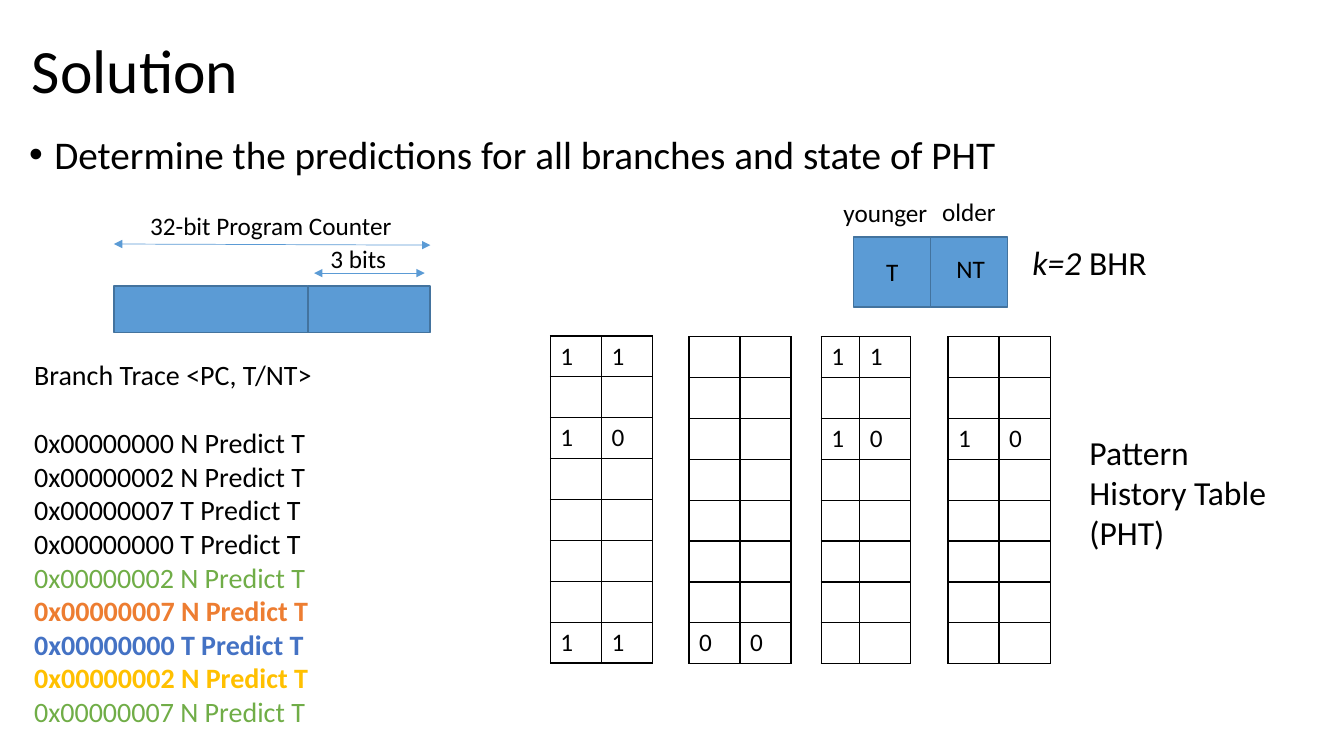
from lxml import etree
from pptx import Presentation
from pptx.dml.color import RGBColor
from pptx.enum.shapes import MSO_CONNECTOR, MSO_SHAPE
from pptx.enum.text import MSO_ANCHOR, PP_ALIGN
from pptx.oxml.ns import qn
from pptx.util import Pt

STRAIGHT = MSO_CONNECTOR.STRAIGHT
RECTANGLE = MSO_SHAPE.RECTANGLE
TOP, MIDDLE = MSO_ANCHOR.TOP, MSO_ANCHOR.MIDDLE
LEFT, CENTER = PP_ALIGN.LEFT, PP_ALIGN.CENTER

FONT = "Calibri"
COLORS = {
    "text": "000000",
    "fill": "5B9BD5",
    "outline": "43739E",
    "green": "70AD47",
    "orange": "ED7D31",
    "blue": "4472C4",
    "gold": "FFC000",
}
PHT_ROWS = 8
PHT_ROW_HEIGHT = 29.2
PHT_TABLES = [
    (0, -0.5, (36.5, 36.5), {0: "11", 2: "10", 7: "11"}),
    (99, 0, (36.5, 36.5), {7: "00"}),
    (193.5, 0, (27.5, 36.5), {0: "11", 2: "10"}),
    (284, 0, (36.5, 36.5), {2: "10"}),
]
TRACE = [
    ("0x00000000 N Predict T", "text", False),
    ("0x00000002 N Predict T", "text", False),
    ("0x00000007 T Predict T", "text", False),
    ("0x00000000 T Predict T", "text", False),
    ("0x00000002 N Predict T", "green", False),
    ("0x00000007 N Predict T", "orange", True),
    ("0x00000000 T Predict T", "blue", True),
    ("0x00000002 N Predict T", "gold", True),
    ("0x00000007 N Predict T", "green", False),
]


def rgb(name):
    """Return the named colour."""
    return RGBColor.from_string(COLORS[name])


def add_span(para, text, size=18, color="text", bold=False, italic=False):
    """Append one formatted run to a paragraph."""
    span = para.add_run()
    span.text = text
    font = span.font
    font.name, font.size, font.bold, font.italic = FONT, Pt(size), bold, italic
    font.color.rgb = rgb(color)


def add_text(page, left, top, width, height, text="", anchor=TOP, wrap=True,
             align=LEFT, line_spacing=None, **style):
    """Add a text box and return its first paragraph."""
    box = page.shapes.add_textbox(Pt(left), Pt(top), Pt(width), Pt(height))
    frame = box.text_frame
    frame.word_wrap = wrap
    frame.vertical_anchor = anchor
    para = frame.paragraphs[0]
    para.alignment = align
    para.line_spacing = line_spacing
    if text:
        add_span(para, text, **style)
    return para


def add_block(page, left, top, width, height):
    """Add one register field."""
    block = page.shapes.add_shape(RECTANGLE, Pt(left), Pt(top), Pt(width), Pt(height))
    block.shadow.inherit = False
    block.fill.solid()
    block.fill.fore_color.rgb = rgb("fill")
    block.line.color.rgb = rgb("outline")
    block.line.width = Pt(1)


def add_span_arrow(page, left, top, right, bottom):
    """Add a thin line with an arrowhead at each end."""
    arrow = page.shapes.add_connector(STRAIGHT, Pt(left), Pt(top), Pt(right), Pt(bottom))
    arrow.line.color.rgb = rgb("fill")
    arrow.line.width = Pt(0.5)
    line = arrow.line._get_or_add_ln()
    for end in ("a:headEnd", "a:tailEnd"):
        etree.SubElement(line, qn(end), type="triangle")
    etree.SubElement(arrow._element.spPr, qn("a:effectLst"))


def add_borders(cell):
    """Draw a solid line on all four sides of a cell."""
    properties = cell._tc.get_or_add_tcPr()
    for side in ("a:lnL", "a:lnR", "a:lnT", "a:lnB"):
        line = etree.SubElement(properties, qn(side), w=str(Pt(1)))
        fill = etree.SubElement(line, qn("a:solidFill"))
        etree.SubElement(fill, qn("a:srgbClr"), val=COLORS["text"])


def add_history_table(page, left, top, widths, entries):
    """Add one column of two-bit counters."""
    frame = page.shapes.add_table(PHT_ROWS, len(widths), Pt(left), Pt(top),
                                  Pt(sum(widths)), Pt(PHT_ROWS * PHT_ROW_HEIGHT))
    table = frame.table
    table.first_row = table.horz_banding = False
    for column, width in zip(table.columns, widths):
        column.width = Pt(width)
    for number, row in enumerate(table.rows):
        row.height = Pt(PHT_ROW_HEIGHT)
        bits = entries.get(number, "")
        for index, cell in enumerate(row.cells):
            add_borders(cell)
            cell.fill.background()
            if bits:
                add_span(cell.text_frame.paragraphs[0], bits[index])


def add_heading(page, left, top, width):
    """Add the title and the bulleted task below it."""
    add_text(page, left, top, width, 104.4, "Solution", anchor=MIDDLE,
             line_spacing=0.9, size=44)
    task = add_text(page, left - 2, top + 93, width, 342.7,
                    "Determine the predictions for all branches and state of PHT",
                    line_spacing=0.9, size=28)
    properties = task._p.get_or_add_pPr()
    properties.set("marL", str(Pt(18)))
    properties.set("indent", str(Pt(-18)))
    etree.SubElement(properties, qn("a:buFont"), typeface="Arial")
    etree.SubElement(properties, qn("a:buChar"), char="•")


def add_program_counter(page, left, top):
    """Add the program counter with its width markers."""
    add_block(page, left, top + 57.5, 138.5, 33.3)
    add_block(page, left + 138.5, top + 57.5, 87.3, 33.3)
    add_text(page, left + 18.7, top, 188.6, 29, "32-bit Program Counter", wrap=False)
    add_text(page, left + 147.5, top + 23, 54.7, 29, "3 bits", wrap=False)
    add_span_arrow(page, left, top + 27.4, left + 226, top + 28.2)
    add_span_arrow(page, left + 143, top + 48.2, left + 222, top + 48.2)


def add_branch_history(page, left, top):
    """Add the two-entry branch history register."""
    for index in range(2):
        add_block(page, left + index * 55, top, 55, 50.2)
    add_text(page, left + 16, top + 10.2, 23, 29, "T", wrap=False)
    add_text(page, left + 66.2, top + 8.5, 35.3, 29, "NT", wrap=False)
    add_text(page, left + 56, top - 32.4, 118, 29, "older")
    add_text(page, left - 14.4, top - 31.7, 118, 29, "younger")
    label = add_text(page, left + 120.2, top, 96.5, 36, "k=2 ", wrap=False,
                     align=CENTER, size=24, italic=True)
    add_span(label, "BHR", size=24)


def add_pattern_history(page, left, top):
    """Add the four counter tables and their label."""
    for across, down, widths, entries in PHT_TABLES:
        add_history_table(page, left + across, top + down, widths, entries)
    add_text(page, left + 378, top + 64.1, 144.7, 94.3,
             "Pattern History Table (PHT)", size=24)


def add_branch_trace(page, left, top, width, height):
    """Add the list of branches with their predictions."""
    para = add_text(page, left, top, width, height, "Branch Trace <PC, T/NT>", size=20)
    frame = para._parent
    for index, (text, color, bold) in enumerate(TRACE):
        para = frame.add_paragraph()
        para.space_before = Pt(0 if index else 24.4)
        add_span(para, text, size=20, color=color, bold=bold)


def main():
    """Build and save the slide."""
    deck = Presentation()
    deck.slide_width, deck.slide_height = Pt(960), Pt(540)
    page = deck.slides.add_slide(deck.slide_layouts[6])
    add_heading(page, 15.8, 0, 828)
    add_program_counter(page, 81.4, 146.9)
    add_branch_history(page, 609.8, 169.2)
    add_pattern_history(page, 393.1, 240.5)
    add_branch_trace(page, 17.3, 252, 266.4, 346.3)
    deck.save("out.pptx")


if __name__ == "__main__":
    main()
